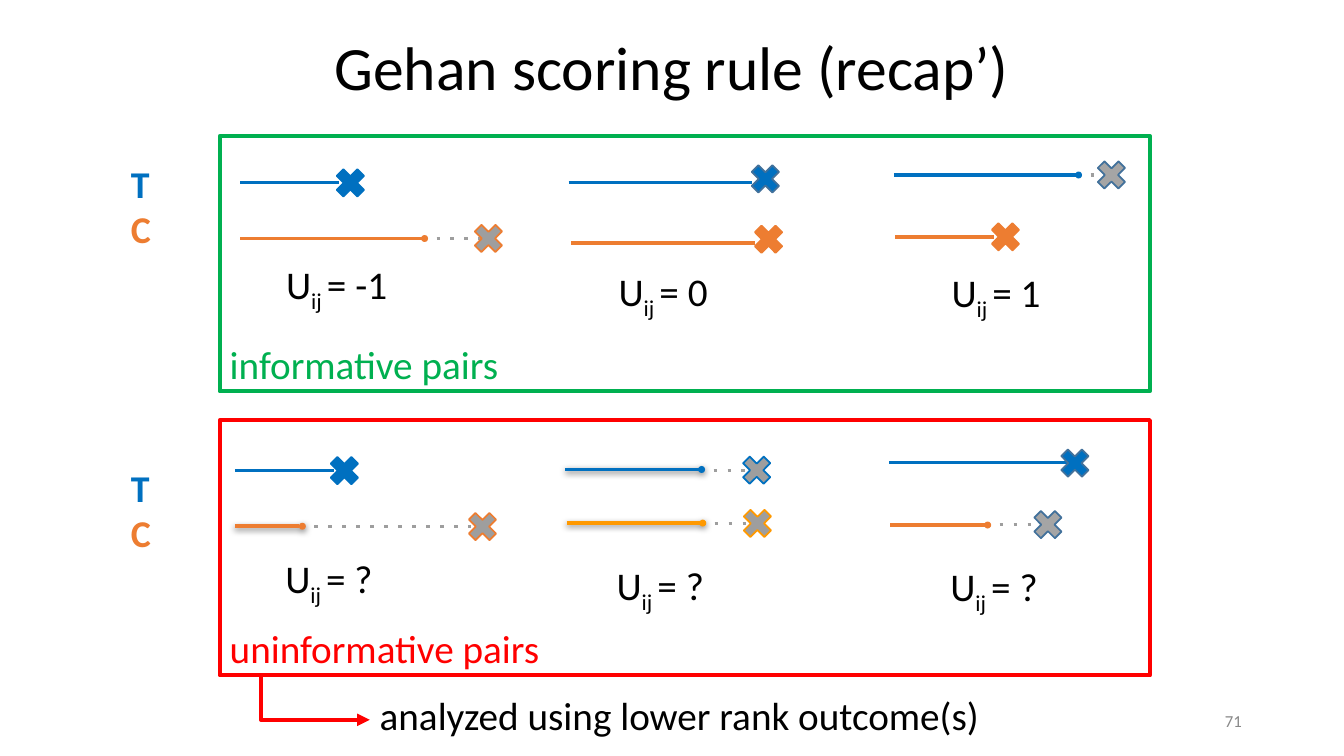
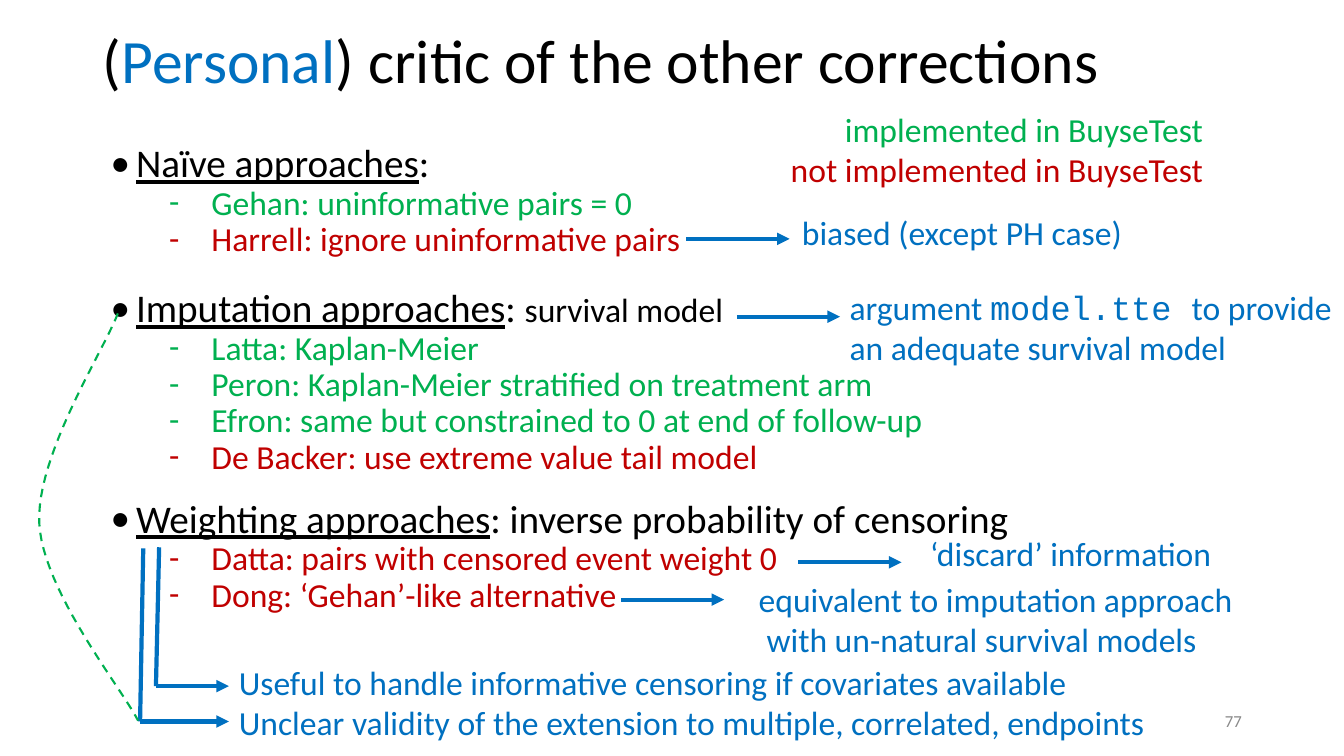
from dataclasses import dataclass

from lxml import etree
from pptx import Presentation
from pptx import util as u
from pptx.dml.color import RGBColor
from pptx.enum import shapes, text
from pptx.oxml import ns


@dataclass(frozen=True)
class Theme:
    face: str = "Calibri"
    code: str = "Courier New"
    black: str = "000000"
    blue: str = "0070C0"
    orange: str = "ED7D31"
    amber: str = "FF9900"
    grey: str = "9E9E9E"
    silver: str = "A5A5A5"
    steel: str = "42719B"
    green: str = "00B050"
    red: str = "FF0000"
    dark: str = "C00000"
    pale: str = "888888"
    head: int = 44
    large: int = 28
    arm: int = 27
    body: int = 24
    small: int = 12
    thin: float = 1.25
    trace: float = 2.5
    thick: float = 3


T = Theme()


@dataclass(frozen=True)
class Arm:
    ink: str
    start: float
    end: float
    y: float
    mark: float
    rise: float
    fill: str
    edge: str
    shade: bool = False


def node(parent, tag, **traits):
    return etree.SubElement(parent, ns.qn(tag), **traits)


def rgb(ink):
    return RGBColor.from_string(ink)


def add_run(para, words, size, ink, face=T.face, bold=False, under=False, base=0):
    run = para.add_run()
    run.text = words
    font = run.font
    font.size, font.name, font.bold = u.Pt(size), face, bold
    font.underline = under
    font.color.rgb = rgb(ink)
    if base:
        run._r.get_or_add_rPr().set("baseline", str(base))


def add_para(frame):
    para = frame.paragraphs[0]
    return frame.add_paragraph() if para.runs else para


def set_frame(frame, pad, anchor):
    frame.word_wrap = True
    frame.auto_size = text.MSO_AUTO_SIZE.NONE
    frame.vertical_anchor = anchor
    frame.margin_left = frame.margin_right = u.Cm(0.25)
    frame.margin_top = frame.margin_bottom = u.Cm(pad)


def add_field(slide, box, pad=0.13, anchor=text.MSO_ANCHOR.TOP):
    frame = slide.shapes.add_textbox(*map(u.Cm, box)).text_frame
    set_frame(frame, pad, anchor)
    return frame


def add_note(slide, box, lines, size, ink):
    frame = add_field(slide, box, 0.25)
    for words in lines:
        add_run(add_para(frame), words, size, ink)
    return frame


def draw_pen(shape, ink, width, dash=None, tail=None):
    shape.line.color.rgb = rgb(ink)
    shape.line.width = u.Pt(width)
    ln = shape.line._get_or_add_ln()
    if dash:
        node(ln, "a:prstDash", val=dash)
    if tail:
        size = "sm" if tail == "oval" else "med"
        node(ln, "a:tailEnd", type=tail, w=size, len=size)


def add_line(slide, start, end, ink, width, dash=None, tail=None, shade=False):
    line = slide.shapes.add_connector(
        shapes.MSO_CONNECTOR.STRAIGHT, *map(u.Cm, start + end))
    draw_pen(line, ink, width, dash, tail)
    effect = node(line._element.spPr, "a:effectLst")
    if shade:
        cast = node(effect, "a:outerShdw", blurRad=str(u.Pt(4.5)),
                    dist=str(u.Pt(1.5)), dir="5400000", rotWithShape="0")
        node(node(cast, "a:srgbClr", val=T.black), "a:alpha", val="50000")


def add_shape(slide, kind, box, ink, width, fill=None):
    shape = slide.shapes.add_shape(kind, *map(u.Cm, box))
    shape.shadow.inherit = False
    if fill:
        shape.fill.solid()
        shape.fill.fore_color.rgb = rgb(fill)
    else:
        shape.fill.background()
    draw_pen(shape, ink, width)


def add_trail(slide, points, ink, width, dash=None, tail=None):
    points = [tuple(map(u.Cm, point)) for point in points]
    maker = slide.shapes.build_freeform(*points[0])
    maker.add_line_segments(points[1:], close=False)
    shape = maker.convert_to_shape()
    shape.shadow.inherit = False
    shape.fill.background()
    draw_pen(shape, ink, width, dash, tail)


def bend(a, b, c, d, steps=24):
    for i in range(steps + 1):
        t = i / steps
        s = 1 - t
        yield tuple(s**3 * p + 3 * s * s * t * q + 3 * s * t * t * r + t**3 * v
                    for p, q, r, v in zip(a, b, c, d))


def start_slide(deck, runs, height, align, page):
    slide = deck.slides.add_slide(deck.slide_layouts[5])
    title = slide.shapes.title
    title.left, title.top, title.width, title.height = map(
        u.Cm, (2.34, 0, 29.2, height))
    set_frame(title.text_frame, 0.13, text.MSO_ANCHOR.MIDDLE)
    para = title.text_frame.paragraphs[0]
    para.alignment, para.line_spacing = align, 0.9
    for words, ink in runs:
        add_run(para, words, T.head, ink)
    foot = add_field(slide, (23.93, 17.65, 7.62, 1.02), 0.13, text.MSO_ANCHOR.MIDDLE)
    foot.paragraphs[0].alignment = text.PP_ALIGN.RIGHT
    add_run(foot.paragraphs[0], page, T.small, T.pale)
    return slide


def draw_arm(slide, x, y, arm):
    late = arm.fill in (T.grey, T.silver)
    row, mark = y + arm.y, x + arm.mark
    if late:
        add_line(slide, (x + arm.end - 0.05, y + arm.rise),
                 (mark + 0.14, y + arm.rise), T.grey, T.trace, "dot")
    add_line(slide, (x + arm.start, row), (x + arm.end, row), arm.ink, T.trace,
             tail="oval" if late else None, shade=arm.shade)
    side = 1
    add_shape(slide, shapes.MSO_SHAPE.MATH_MULTIPLY,
              (mark - side / 2, y + arm.rise - side / 2, side, side),
              arm.edge, T.thin, arm.fill)


def draw_panel(slide, box, ink, label, drop, arms, scores):
    x, y, wide, high = box
    add_shape(slide, shapes.MSO_SHAPE.RECTANGLE, box, ink, T.thick)
    key = add_field(slide, (x - 2.49, y + drop, 1.9, 2.74))
    for words, tint in (("T", T.blue), ("C", T.orange)):
        add_run(add_para(key), words, T.arm, tint, bold=True)
    for arm in arms:
        draw_arm(slide, x, y, arm)
    for dx, dy, score in scores:
        para = add_field(slide, (x + dx, y + dy, 3.9, 1.45)).paragraphs[0]
        add_run(para, "U", T.large, T.black)
        add_run(para, "ij ", T.large, T.black, base=-25000)
        add_run(para, "= " + score, T.large, T.black)
    para = add_field(slide, (x, y + high - 1.61, 19.76, 1.98), 0.25,
                     text.MSO_ANCHOR.MIDDLE).paragraphs[0]
    para.line_spacing = 0.9
    add_run(para, label, T.large, ink)


def make_rule(deck):
    slide = start_slide(deck, [("Gehan scoring rule (recap’)", T.black)], 3.58,
                        text.PP_ALIGN.CENTER, "71")
    known = [
        Arm(T.blue, 0.51, 3, 1.17, 3.29, 1.18, T.blue, T.blue),
        Arm(T.orange, 0.51, 5.16, 2.58, 6.77, 2.58, T.grey, T.orange),
        Arm(T.blue, 8.79, 13.41, 1.17, 13.75, 1.08, T.blue, T.steel),
        Arm(T.orange, 8.86, 13.49, 2.69, 13.83, 2.6, T.orange, T.orange),
        Arm(T.blue, 16.99, 21.64, 0.98, 22.47, 0.98, T.silver, T.steel),
        Arm(T.orange, 17.02, 19.51, 2.54, 19.8, 2.54, T.orange, T.orange),
    ]
    vague = [
        Arm(T.blue, 0.38, 2.87, 1.27, 3.14, 1.27, T.blue, T.blue),
        Arm(T.orange, 0.38, 2.08, 2.67, 6.62, 2.68, T.grey, T.orange, True),
        Arm(T.blue, 8.71, 12.14, 1.24, 13.53, 1.26, T.grey, T.blue, True),
        Arm(T.amber, 8.74, 12.17, 2.59, 13.55, 2.6, T.grey, T.amber, True),
        Arm(T.blue, 16.87, 21.49, 1.07, 21.55, 1.08, T.blue, T.steel),
        Arm(T.orange, 16.89, 19.35, 2.64, 20.87, 2.63, T.silver, T.steel),
    ]
    draw_panel(slide, (5.54, 3.43, 23.44, 6.43), T.green, "informative pairs", 0.48,
               known, [(1.42, 3, "-1"), (9.8, 3.18, "0"), (18.19, 3.2, "1")])
    draw_panel(slide, (5.54, 10.59, 23.44, 6.43), T.red, "uninformative pairs", 0.99,
               vague, [(1.4, 3.25, "?"), (9.75, 3.43, "?"), (18.16, 3.45, "?")])
    add_trail(slide, [(6.58, 17), (6.58, 18.14), (9.32, 18.14)], T.red, T.thick,
              tail="triangle")
    add_note(slide, (9.32, 17.17, 16.5, 1.88),
             ["analyzed using lower rank outcome(s)"], T.large, T.black)


def add_bullet(frame, sign, ink, left, hang, gap=0):
    para = add_para(frame)
    props = para._p.get_or_add_pPr()
    props.set("marL", str(u.Cm(left)))
    props.set("indent", str(-u.Cm(hang)))
    node(node(props, "a:buClr"), "a:srgbClr", val=ink)
    node(props, "a:buFont", typeface=T.face)
    node(props, "a:buChar", char=sign)
    para.line_spacing = 0.9
    if gap:
        para.space_before = u.Pt(gap)
    return para


def draw_list(slide, box, groups):
    frame = add_field(slide, box)
    for name, rest, size, gap, items in groups:
        para = add_bullet(frame, "•", T.black, 0.64, 0.65, gap)
        add_run(para, name, T.large, T.black, under=True)
        add_run(para, ":" if not rest else ": ", T.large, T.black)
        if rest:
            add_run(para, rest, size, T.black)
        for words, ink in items:
            add_run(add_bullet(frame, "-", ink, 2.54, 1.07), words, T.body, ink)


def draw_hook(slide, x, top, end, low):
    foot = x - 0.08
    add_line(slide, (x, top), (foot, low), T.blue, T.thick)
    add_line(slide, (foot, low), (end, low), T.blue, T.thick, tail="triangle")


def make_critic(deck):
    slide = start_slide(
        deck, [("(", T.black), ("Personal", T.blue),
               (") critic of the other corrections", T.black)],
        3.18, text.PP_ALIGN.LEFT, "77")
    draw_list(slide, (2.54, 3.5, 29.2, 14.5), [
        ("Naïve approaches", "", T.large, 0, [
            ("Gehan: uninformative pairs = 0", T.green),
            ("Harrell: ignore uninformative pairs", T.dark)]),
        ("Imputation approaches", "survival model", T.body, 21.5, [
            ("Latta: Kaplan-Meier", T.green),
            ("Peron: Kaplan-Meier stratified on treatment arm", T.green),
            ("Efron: same but constrained to 0 at end of follow-up", T.green),
            ("De Backer: use extreme value tail model", T.dark)]),
        ("Weighting approaches", "inverse probability of censoring", T.large, 16.5, [
            ("Datta: pairs with censored event weight 0", T.dark),
            ("Dong: ‘Gehan’-like alternative", T.dark)]),
    ])
    legend = add_field(slide, (17.57, 2.49, 13, 2.6), 0.25)
    for words, ink in (("implemented in BuyseTest", T.green),
                       ("not implemented in BuyseTest", T.dark)):
        para = add_para(legend)
        para.alignment = text.PP_ALIGN.RIGHT
        add_run(para, words, T.body, ink)
    for x, y in ((17.3, 6.02), (18.57, 7.98), (20.12, 14.17), (15.65, 15.11)):
        add_line(slide, (x, y), (x + 2.6, y), T.blue, T.thick, tail="triangle")
    add_note(slide, (19.96, 5.08, 13.13, 1.96), ["biased (except PH case)"],
             T.body, T.blue)
    add_note(slide, (23.19, 13.18, 9.09, 1.96), ["‘discard’ information"],
             T.body, T.blue)
    same = add_note(slide, (18.87, 14.33, 14.5, 3.02), [
        "equivalent to imputation approach",
        "with un-natural survival models"], T.body, T.blue)
    same.paragraphs[1]._p.get_or_add_pPr().set("marL", str(u.Cm(0.2)))
    add_note(slide, (5.77, 16.43, 27.5, 2.6), [
        "Useful to handle informative censoring if covariates available",
        "Unclear validity of the extension to multiple, correlated, endpoints"],
        T.body, T.blue)
    model = add_field(slide, (21.16, 6.98, 12.7, 2.6), 0.25)
    model.margin_right = 0
    for words, face in (("argument ", T.face), ("model.tte ", T.code),
                        ("to provide an adequate survival model", T.face)):
        add_run(model.paragraphs[0], words, T.body, T.blue, face)
    draw_hook(slide, 4.01, 13.79, 5.77, 17.29)
    draw_hook(slide, 3.61, 13.82, 5.77, 18.18)
    upper = list(bend((2.97, 7.9), (2.64, 8.79), (0.91, 11.46), (0.99, 13.18)))
    lower = list(bend((0.99, 13.18), (1.07, 14.88), (3.07, 17.35), (3.48, 18.16)))
    add_trail(slide, upper + lower[1:], T.green, 1.5, "dash")


def main():
    deck = Presentation()
    deck.slide_width, deck.slide_height = u.Cm(33.87), u.Cm(19.05)
    make_rule(deck)
    make_critic(deck)
    deck.save("out.pptx")


if __name__ == "__main__":
    main()
